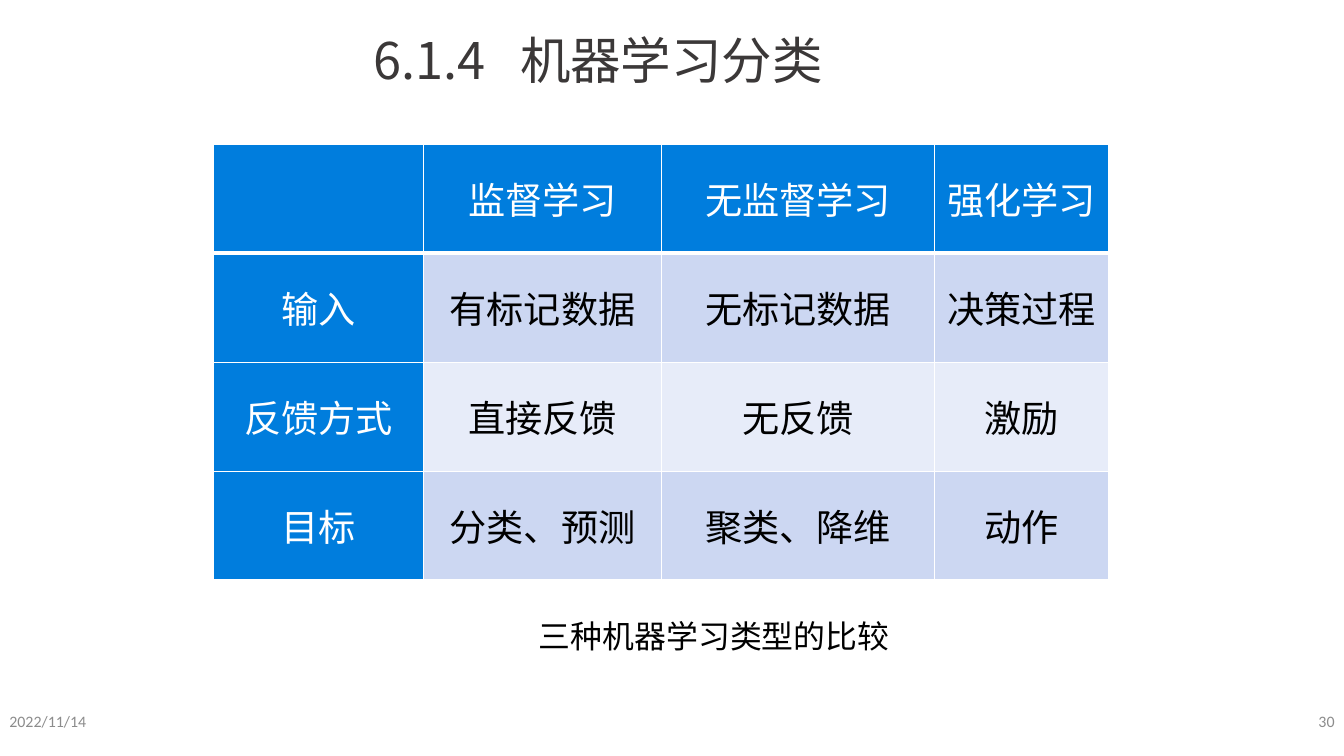
from dataclasses import dataclass

from lxml.etree import SubElement
from pptx import Presentation
from pptx.dml.color import RGBColor
from pptx.enum.text import MSO_ANCHOR, MSO_AUTO_SIZE, PP_ALIGN
from pptx.oxml.ns import qn
from pptx.util import Inches, Pt


@dataclass(frozen=True)
class Theme:
    """Colours, fonts and type sizes of the slide."""
    header: str = "007DDD"
    bands: tuple = ("CCD7F2", "E7ECF9")
    white: str = "FFFFFF"
    black: str = "000000"
    title: str = "3B3838"
    footer: str = "8C8C8C"
    cjk: str = "Noto Sans CJK SC"
    latin: str = "Calibri"
    title_size: int = 38
    table_size: int = 28
    caption_size: int = 24
    footer_size: int = 12


THEME = Theme()
WIDTH, HEIGHT = Inches(14.06), Inches(7.91)
TABLE_LEFT, TABLE_TOP, ROW_HEIGHT = 15.86, 19.09, 14.41
COLUMN_WIDTHS = (15.65, 17.71, 20.34, 12.94)
FOOTER_TOP, FOOTER_WIDTH, FOOTER_HEIGHT = 92.67, 22.48, 5.31
COMPARISON = (
    ("", "监督学习", "无监督学习", "强化学习"),
    ("输入", "有标记数据", "无标记数据", "决策过程"),
    ("反馈方式", "直接反馈", "无反馈", "激励"),
    ("目标", "分类、预测", "聚类、降维", "动作"),
)


def across(percent):
    """Return a share of the slide width."""
    return round(WIDTH * percent / 100)


def down(percent):
    """Return a share of the slide height."""
    return round(HEIGHT * percent / 100)


def write(tf, text, size, color, font=THEME.cjk, align=PP_ALIGN.LEFT, tab=None):
    """Write one formatted paragraph into a text frame."""
    p = tf.paragraphs[0]
    p.alignment = align
    if tab:
        tabs = SubElement(p._p.get_or_add_pPr(), qn("a:tabLst"))
        SubElement(tabs, qn("a:tab"), pos=str(across(tab)), algn="l")
    r = p.add_run()
    r.text = text
    r.font.size = Pt(size)
    r.font.name = font
    r.font.color.rgb = RGBColor.from_string(color)
    SubElement(r._r.get_or_add_rPr(), qn("a:ea"), typeface=font)


def add_title(slide, text, left, top, width, height, tab):
    """Place and fill the title placeholder."""
    sp = slide.shapes.title
    sp.left, sp.top = across(left), down(top)
    sp.width, sp.height = across(width), down(height)
    tf = sp.text_frame
    tf.auto_size = MSO_AUTO_SIZE.NONE
    tf.vertical_anchor = MSO_ANCHOR.TOP
    tf.margin_left = tf.margin_right = Inches(0.11)
    write(tf, text, THEME.title_size, THEME.title, tab=tab)


def add_text(slide, text, left, top, width, height, anchor=MSO_ANCHOR.TOP, **fmt):
    """Add a wrapped text box."""
    sp = slide.shapes.add_textbox(across(left), down(top), across(width), down(height))
    tf = sp.text_frame
    tf.word_wrap = True
    tf.vertical_anchor = anchor
    write(tf, text, **fmt)


def set_borders(cell, bottom):
    """Draw white cell borders with the given bottom width."""
    tc_pr = cell._tc.get_or_add_tcPr()
    for side, width in (("L", 1), ("R", 1), ("T", 1), ("B", bottom)):
        ln = SubElement(tc_pr, qn(f"a:ln{side}"), w=str(Pt(width)))
        fill = SubElement(ln, qn("a:solidFill"))
        SubElement(fill, qn("a:srgbClr"), val=THEME.white)


def format_cell(cell, text, row, col):
    """Fill, border and write one table cell."""
    heading = row == 0 or col == 0
    set_borders(cell, bottom=3 if row == 0 else 1)
    cell.fill.solid()
    color = THEME.header if heading else THEME.bands[(row - 1) % 2]
    cell.fill.fore_color.rgb = RGBColor.from_string(color)
    cell.vertical_anchor = MSO_ANCHOR.MIDDLE
    cell.margin_left = cell.margin_right = Inches(0.07)
    cell.margin_top = cell.margin_bottom = 0
    if text:
        write(cell.text_frame, text, THEME.table_size,
              THEME.white if heading else THEME.black, align=PP_ALIGN.CENTER)


def add_comparison(slide, rows):
    """Add the comparison table."""
    table = slide.shapes.add_table(
        len(rows), len(COLUMN_WIDTHS), across(TABLE_LEFT), down(TABLE_TOP),
        across(sum(COLUMN_WIDTHS)), down(ROW_HEIGHT * len(rows))).table
    for column, width in zip(table.columns, COLUMN_WIDTHS):
        column.width = across(width)
    for i, texts in enumerate(rows):
        table.rows[i].height = down(ROW_HEIGHT)
        for j, text in enumerate(texts):
            format_cell(table.cell(i, j), text, i, j)


def main():
    """Build and save the slide."""
    prs = Presentation()
    prs.slide_width, prs.slide_height = WIDTH, HEIGHT
    slide = prs.slides.add_slide(prs.slide_layouts[5])
    add_title(slide, "6.1.4\t机器学习分类", 27.03, 3.16, 37, 9.48, tab=10.88)
    add_comparison(slide, COMPARISON)
    add_text(slide, "三种机器学习类型的比较", 39.4, 80.91, 28.5, 6.32,
             size=THEME.caption_size, color=THEME.black)
    for text, left, align in (("2022/11/14", 0, PP_ALIGN.LEFT),
                              ("30", 100 - FOOTER_WIDTH, PP_ALIGN.RIGHT)):
        add_text(slide, text, left, FOOTER_TOP, FOOTER_WIDTH, FOOTER_HEIGHT,
                 anchor=MSO_ANCHOR.MIDDLE, size=THEME.footer_size,
                 color=THEME.footer, font=THEME.latin, align=align)
    prs.save("out.pptx")


if __name__ == "__main__":
    main()
